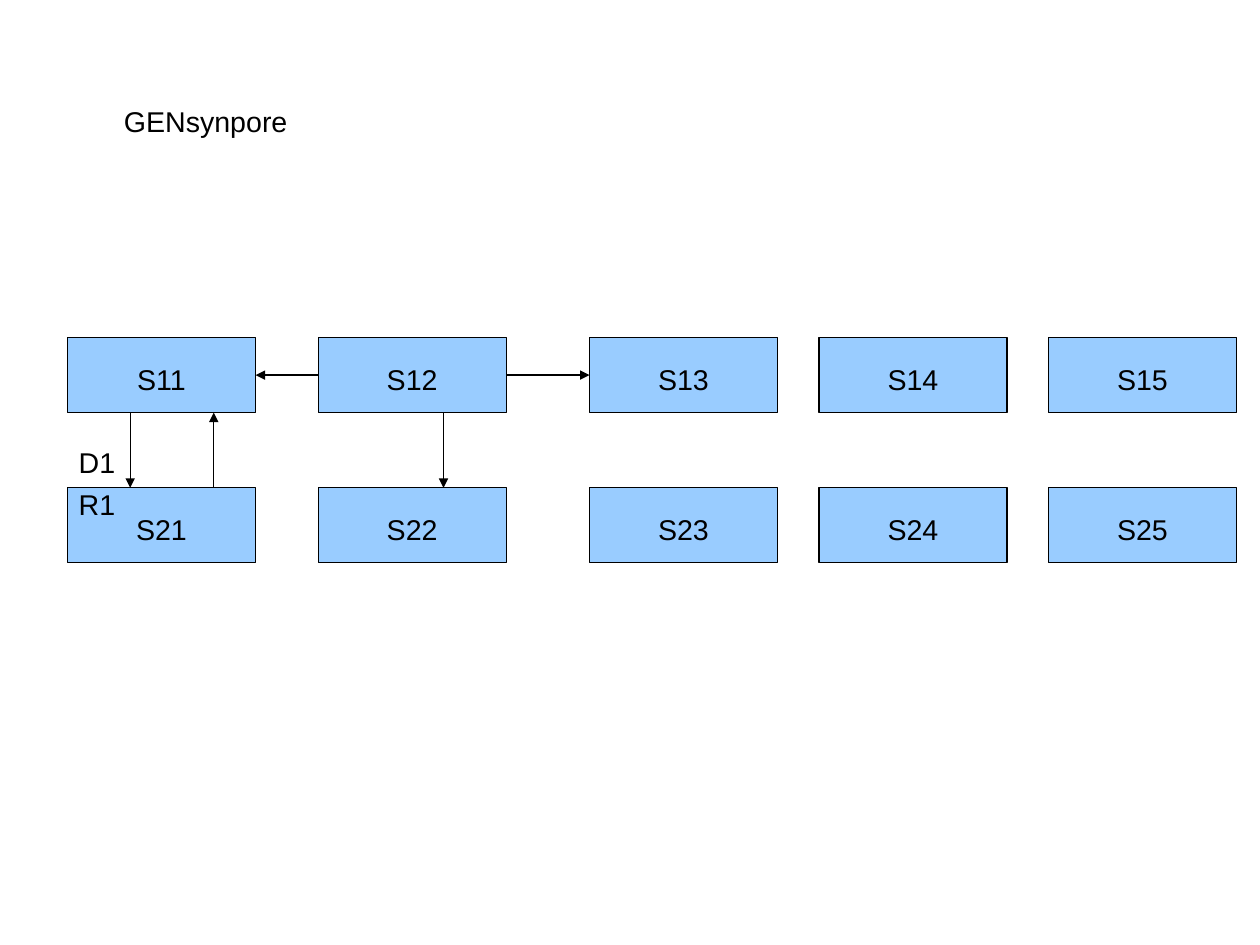
from itertools import accumulate

from lxml import etree
from pptx import Presentation, util as u
from pptx.dml.color import RGBColor
from pptx.enum import shapes, text
from pptx.oxml.ns import qn

HUES = {"box": "99CCFF", "ink": "000000"}

# Grid of the states, in centimetres
WIDE, HIGH = 4.18, 1.67
GAPS = (1.39, 1.85, 0.92, 0.92)
COLS = list(accumulate((WIDE + gap for gap in GAPS), initial=1.5))
ROWS = [7.5 + 2 * HIGH * row for row in range(2)]
TABS = (2, 4, 5)


def hue(name):
    return RGBColor.from_string(HUES[name])


def write(frame, line, align=text.PP_ALIGN.LEFT,
          anchor=text.MSO_ANCHOR.TOP, wrap=True):
    frame.auto_size = text.MSO_AUTO_SIZE.NONE
    frame.word_wrap = wrap
    frame.vertical_anchor = anchor
    para = frame.paragraphs[0]
    para.alignment = align
    para.line_spacing = 1.24
    run = para.add_run()
    run.text = line
    run.font.name = "Arial"
    run.font.size = u.Pt(18)
    run.font.color.rgb = hue("ink")
    return para


def title(slide, label):
    head = slide.shapes.title
    head.left, head.top, head.width, head.height = map(
        u.Cm, (2.5, 2, 15, 1.19))
    write(head.text_frame, label)


def state(slide, row, col):
    box = slide.shapes.add_shape(
        shapes.MSO_SHAPE.FLOWCHART_PROCESS,
        *map(u.Cm, (COLS[col], ROWS[row], WIDE, HIGH)))
    box.shadow.inherit = False
    box.fill.solid()
    box.fill.fore_color.rgb = hue("box")
    box.line.color.rgb = hue("ink")
    box.line.width = u.Pt(0.75)
    write(box.text_frame, f"S{row + 1}{col + 1}", text.PP_ALIGN.CENTER,
          text.MSO_ANCHOR.MIDDLE, wrap=False)
    return box


def arrow(slide, x1=0, y1=0, x2=0, y2=0):
    link = slide.shapes.add_connector(
        shapes.MSO_CONNECTOR.STRAIGHT, *map(u.Cm, (x1, y1, x2, y2)))
    link.line.color.rgb = hue("ink")
    link.line.width = u.Pt(0.75)
    tip = etree.SubElement(link.line._get_or_add_ln(), qn("a:tailEnd"))
    tip.set("type", "triangle")
    etree.SubElement(link._element.spPr, qn("a:effectLst"))
    return link


def join(slide, start, side, end, face):
    link = arrow(slide)
    link.begin_connect(start, side)
    link.end_connect(end, face)


def drop(slide, col, share, up=False):
    x = COLS[col] + WIDE * share
    ends = [ROWS[0] + HIGH, ROWS[1]]
    if up:
        ends.reverse()
    arrow(slide, x, ends[0], x, ends[1])


def note(slide, label):
    area = slide.shapes.add_textbox(
        *map(u.Cm, (COLS[0], 9.58, COLS[1] - COLS[0], 1.19)))
    para = write(area.text_frame, label)
    stops = etree.SubElement(para._p.get_or_add_pPr(), qn("a:tabLst"))
    for place in TABS:
        stop = etree.SubElement(stops, qn("a:tab"))
        stop.set("pos", str(u.Cm(place)))
        stop.set("algn", "l")


def main():
    deck = Presentation()
    deck.slide_width, deck.slide_height = u.Cm(28), u.Cm(21)
    slide = deck.slides.add_slide(deck.slide_layouts[5])
    title(slide, "GENsynpore")

    # States
    grid = {(row, col): state(slide, row, col)
            for col in range(len(COLS)) for row in range(len(ROWS))}

    # Arrows between the rows
    drop(slide, 0, 1 / 3)
    drop(slide, 0, 7 / 9, up=True)
    drop(slide, 1, 2 / 3)

    # Arrows along the top row
    join(slide, grid[0, 1], 1, grid[0, 0], 3)
    join(slide, grid[0, 1], 3, grid[0, 2], 1)

    # Labels of the first column's arrows
    note(slide, "D1\t\t\tR1")

    deck.save("out.pptx")


if __name__ == "__main__":
    main()
